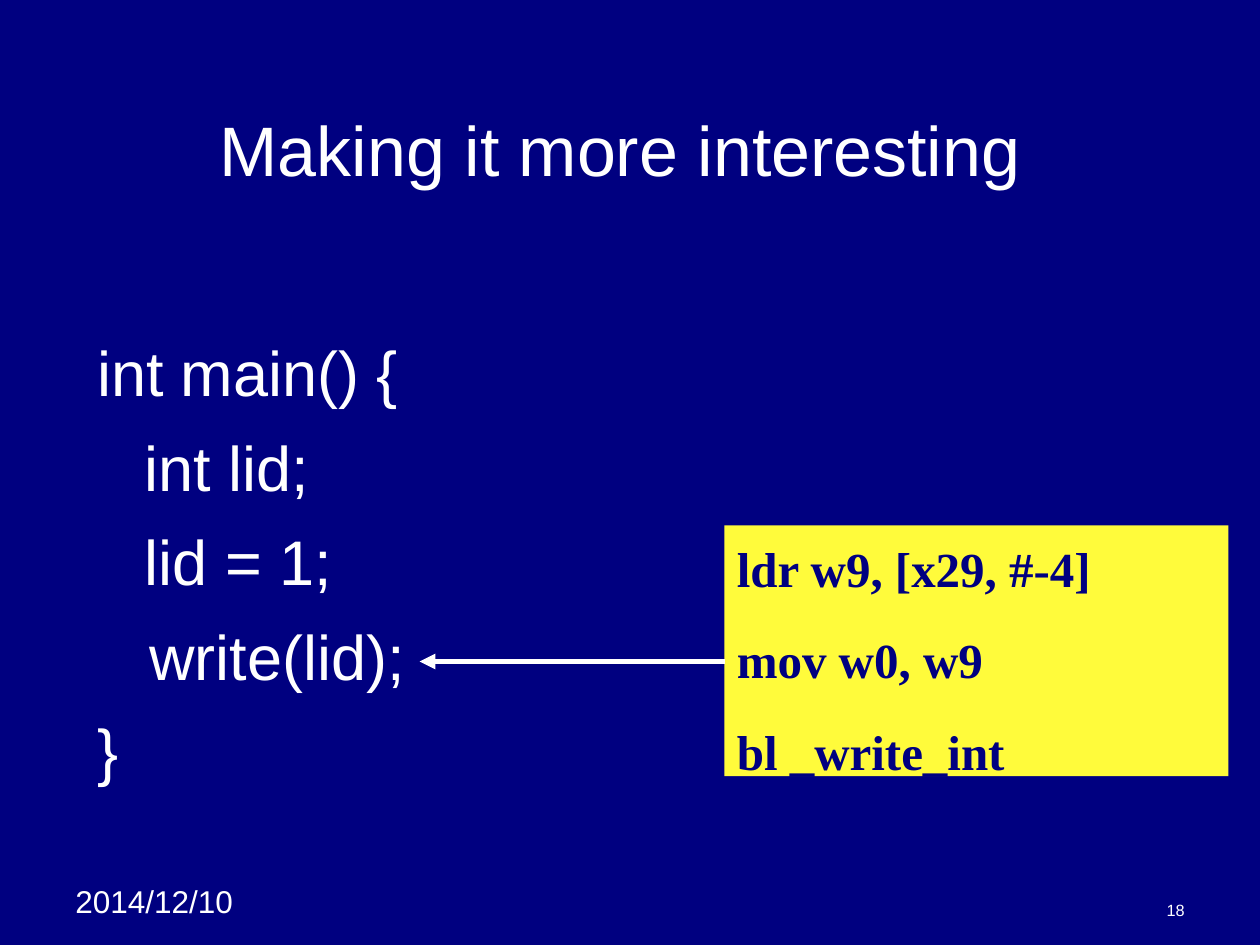
from lxml import etree
from pptx import Presentation
from pptx.dml.color import RGBColor
from pptx.enum.shapes import MSO_CONNECTOR, MSO_SHAPE
from pptx.enum.text import MSO_ANCHOR, PP_ALIGN
from pptx.oxml.ns import qn
from pptx.util import Inches, Pt

RECT = MSO_SHAPE.RECTANGLE
STRAIGHT = MSO_CONNECTOR.STRAIGHT
TOP, MIDDLE, BOTTOM = MSO_ANCHOR.TOP, MSO_ANCHOR.MIDDLE, MSO_ANCHOR.BOTTOM
LEFT, CENTER, RIGHT = PP_ALIGN.LEFT, PP_ALIGN.CENTER, PP_ALIGN.RIGHT
NAVY, WHITE, YELLOW = "000080", "FFFFFF", "FFFB3B"


def rgb(value):
    return RGBColor.from_string(value)


def write(sp, lines, size, color=WHITE, font="Arial", bold=False,
          align=LEFT, anchor=TOP, gap=0):
    tf = sp.text_frame
    tf.word_wrap = True
    tf.vertical_anchor = anchor
    for i, line in enumerate(lines):
        p = tf.paragraphs[0] if i == 0 else tf.add_paragraph()
        p.alignment = align
        p.space_before = Pt(gap if i else 0)
        r = p.add_run()
        r.text = line
        r.font.name = font
        r.font.size = Pt(size)
        r.font.bold = bold
        r.font.color.rgb = rgb(color)


prs = Presentation()
prs.slide_width, prs.slide_height = Inches(10), Inches(7.5)
s = prs.slides.add_slide(prs.slide_layouts[1])
s.background.fill.solid()
s.background.fill.fore_color.rgb = rgb(NAVY)

title = s.shapes.title
title.left, title.top = Inches(0.42), Inches(0.55)
title.width, title.height = Inches(9), Inches(1.25)
write(title, ["Making it more interesting"], 40, align=CENTER, anchor=MIDDLE)

body = s.placeholders[1]
body.left, body.top = Inches(0.67), Inches(2.6)
body.width, body.height = Inches(8.5), Inches(4.23)
code = ["int main() {", "\tint lid;", "\tlid = 1;", "   write(lid);", "}"]
write(body, code, 36, gap=10.8)
for p in body.text_frame.paragraphs:
    pPr = p._p.get_or_add_pPr()
    pPr.set("marL", str(Inches(0.38)))
    pPr.set("indent", str(-Inches(0.38)))
    etree.SubElement(pPr, qn("a:buNone"))

date = s.shapes.add_textbox(Inches(0.5), Inches(6.95), Inches(1.58), Inches(0.4))
write(date, ["2014/12/10"], 18)
number = s.shapes.add_textbox(Inches(7.17), Inches(7.08), Inches(2.33), Inches(0.27))
write(number, ["18"], 9.3, align=RIGHT, anchor=BOTTOM)

asm = s.shapes.add_shape(RECT, Inches(5.75), Inches(4.17), Inches(4), Inches(1.99))
asm.shadow.inherit = False
asm.fill.solid()
asm.fill.fore_color.rgb = rgb(YELLOW)
asm.line.fill.background()
asm.text_frame.margin_top = Inches(0.1)
write(asm, ["ldr w9, [x29, #-4]", "mov w0, w9", "bl _write_int"], 28, NAVY,
      "Times New Roman", bold=True, gap=18.7)

arrow = s.shapes.add_connector(STRAIGHT, Inches(5.75), Inches(5.25),
                               Inches(3.33), Inches(5.25))
arrow.line.color.rgb = rgb(WHITE)
arrow.line.width = Pt(3)
etree.SubElement(arrow.line._get_or_add_ln(), qn("a:tailEnd"), type="triangle")
etree.SubElement(arrow._element.spPr, qn("a:effectLst"))

prs.save("out.pptx")
